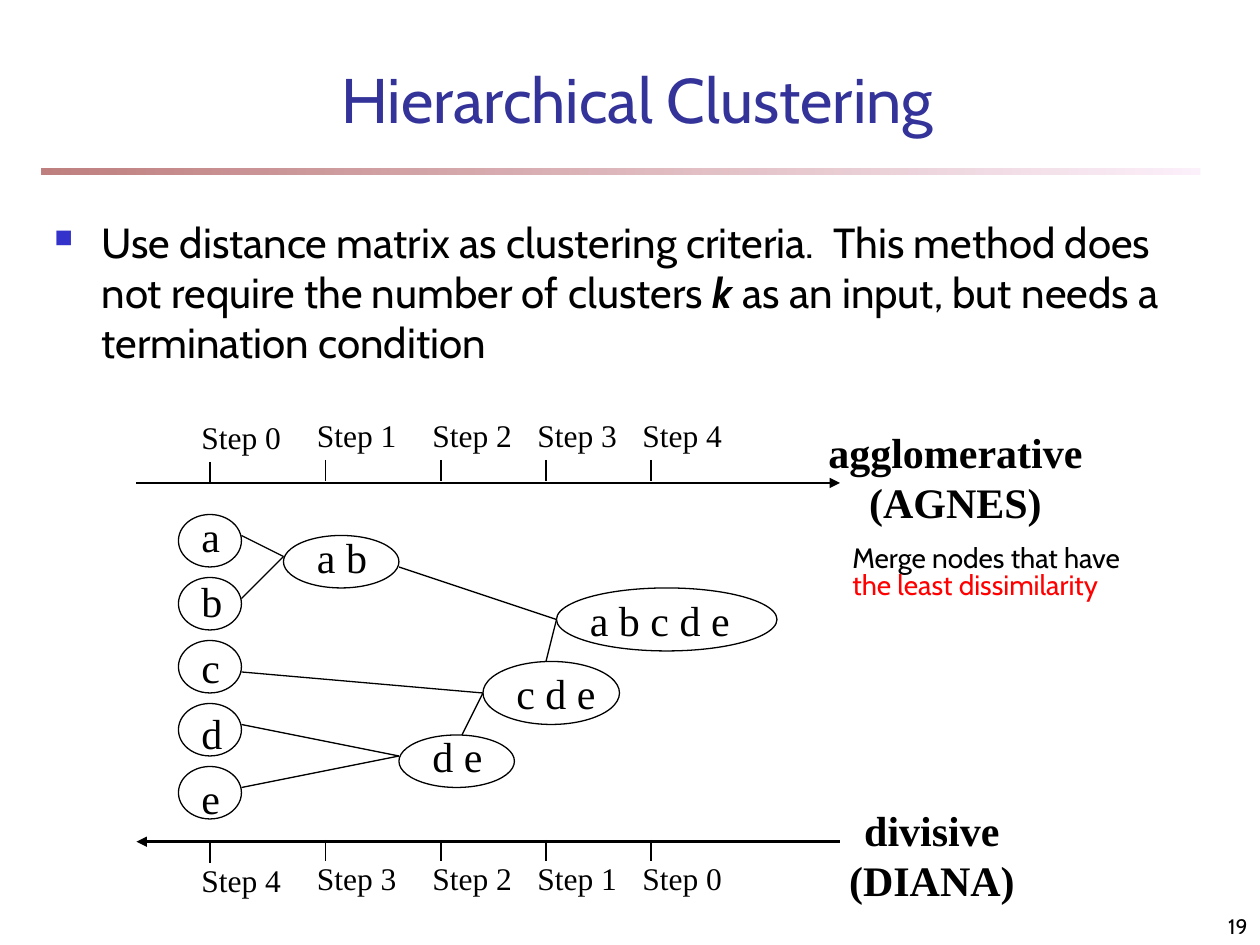
from lxml.etree import SubElement
from pptx import Presentation
from pptx.dml.color import RGBColor
from pptx.enum.shapes import MSO_CONNECTOR as Connector, MSO_SHAPE as Shape
from pptx.enum.text import MSO_ANCHOR as Anchor, PP_ALIGN as Align
from pptx.oxml.ns import qn
from pptx.util import Pt

BLACK = RGBColor(0, 0, 0)
RED = RGBColor(0xFF, 0, 0)
TITLE_BLUE = RGBColor(0x33, 0x33, 0x99)
MAROON = RGBColor(0x80, 0, 0)
PALE_PINK = RGBColor(0xFA, 0xE2, 0xF6)
SANS, SERIF = "Cabin", "Times New Roman"

deck = Presentation()
deck.slide_width, deck.slide_height = Pt(720), Pt(540)
page = deck.slides.add_slide(deck.slide_layouts[6])


def put_text(left, top, width, height, paragraphs, wrap=True,
             anchor=Anchor.TOP, align=Align.LEFT, **font):
    """Add a text box; each paragraph is a list of (text, font changes)."""
    box = page.shapes.add_textbox(Pt(left), Pt(top), Pt(width), Pt(height))
    frame = box.text_frame
    frame.word_wrap, frame.vertical_anchor = wrap, anchor
    for number, spans in enumerate(paragraphs):
        para = frame.add_paragraph() if number else frame.paragraphs[0]
        para.alignment = align
        for text, changes in spans:
            span = para.add_run()
            span.text = text
            look = {"name": SANS, "color": BLACK, **font, **changes}
            span.font.color.rgb = look.pop("color")
            for key, value in look.items():
                setattr(span.font, key, value)
    return frame.paragraphs[0]


def draw_line(x1, y1, x2, y2, weight=0.75, arrow=None):
    """Add a black line; arrow is headEnd (at start) or tailEnd (at end)."""
    line = page.shapes.add_connector(
        Connector.STRAIGHT, Pt(x1), Pt(y1), Pt(x2), Pt(y2))
    line.line.color.rgb = BLACK
    line.line.width = Pt(weight)
    if arrow:
        SubElement(line.line._get_or_add_ln(), qn("a:" + arrow), type="triangle")
    SubElement(line._element.spPr, qn("a:effectLst"))


# Rule under the title, fading to the right
rule = page.shapes.add_shape(Shape.RECTANGLE, Pt(24), Pt(96), Pt(662), Pt(4))
rule.shadow.inherit = False
rule.line.fill.background()
rule.fill.gradient()
rule.fill.gradient_angle = 180
for stop, color, position in zip(rule.fill.gradient_stops, (PALE_PINK, MAROON), (0, 1)):
    stop.color.rgb = color
    stop.position = position
for color_node in rule._element.spPr.iter(qn("a:srgbClr")):
    SubElement(color_node, qn("a:alpha"), val="50000")

# Page number, title and body
put_text(570, 510, 150, 30, [[("19", {})]], anchor=Anchor.BOTTOM,
         align=Align.RIGHT, size=Pt(12))
put_text(77, 39, 574.5, 34.5, [[("Hierarchical Clustering", {})]],
         anchor=Anchor.MIDDLE, align=Align.CENTER, size=Pt(36), color=TITLE_BLUE)
body = put_text(24, 120, 660, 390, [[
    ("Use distance matrix as clustering criteria.  This method does not "
     "require the number of clusters ", {}),
    ("k", {"bold": True, "italic": True}),
    (" as an input, but needs a termination condition", {}),
]], size=Pt(24))
body_format = body._p.get_or_add_pPr()
for key, value in {"marL": Pt(27), "indent": -Pt(27)}.items():
    body_format.set(key, str(int(value)))
bullet_color = SubElement(body_format, qn("a:buClr"))
SubElement(bullet_color, qn("a:srgbClr"), val="3333CC")
SubElement(body_format, qn("a:buSzPct"), val="60000")
SubElement(body_format, qn("a:buChar"), char="■")

# Time axes: steps run forward on top and backward at the bottom
ticks = [120, 186, 252, 312, 372]
draw_line(78, 276, 480, 276, 1.5, "tailEnd")
draw_line(78, 481, 480, 481, 1.5, "headEnd")
for tick_top, label_top, steps in ((262.8, 234, range(5)),
                                   (480, 487.2, range(4, -1, -1))):
    for x, step in zip(ticks, steps):
        drop = 1.2 if x == ticks[0] else 0
        draw_line(x, tick_top + drop, x, tick_top + drop + 12)
        put_text(x - 12, label_top + drop, 60, 29, [[(f"Step {step}", {})]],
                 name=SERIF, size=Pt(18))

# Clusters: oval left, top, width, height, then label left, top, width
clusters = [(name, 102, 294 + 36 * row, 36, 30, 108, 288 + 37.5 * row, 28)
            for row, name in enumerate("abcde")]
clusters += [
    ("a b", 162, 306, 66, 30, 174, 300, 46),
    ("d e", 228, 420, 66, 30, 240, 414, 46),
    ("c d e", 276, 378, 78, 36, 288, 378, 64),
    ("a b c d e", 318, 336, 126, 36, 330, 336, 102),
]
for name, left, top, width, height, label_left, label_top, label_width in clusters:
    put_text(label_left, label_top, label_width, 36, [[(name, {})]],
             name=SERIF, size=Pt(24))
    oval = page.shapes.add_shape(Shape.OVAL, Pt(left), Pt(top), Pt(width), Pt(height))
    oval.shadow.inherit = False
    oval.fill.background()
    oval.line.color.rgb = BLACK
    oval.line.width = Pt(0.75)

# Links between merged clusters
for link in [
    (138, 306, 162, 318), (138, 342, 162, 318),
    (138, 414, 228, 432), (138, 450, 228, 432),
    (138, 384, 276, 396), (264, 420, 276, 396),
    (228, 324, 318, 354), (312, 378, 318, 354),
]:
    draw_line(*link)

# Method names
for left, top, width, lines in ((466, 240, 160, ("agglomerative", "(AGNES)")),
                                (478, 456, 109, ("divisive", "(DIANA)"))):
    put_text(left, top, width, 65, [[(line, {})] for line in lines], wrap=False,
             align=Align.CENTER, name=SERIF, size=Pt(24), bold=True)

# Merge rule
note = put_text(444, 309, 228, 38, [[
    ("Merge nodes that have ", {}),
    ("the least dissimilarity", {"color": RED}),
]], size=Pt(16))
note.line_spacing = 0.8
note.level = 1
for key, value in {"marL": Pt(36), "indent": Pt(0)}.items():
    note._p.get_or_add_pPr().set(key, str(int(value)))

deck.save("out.pptx")
